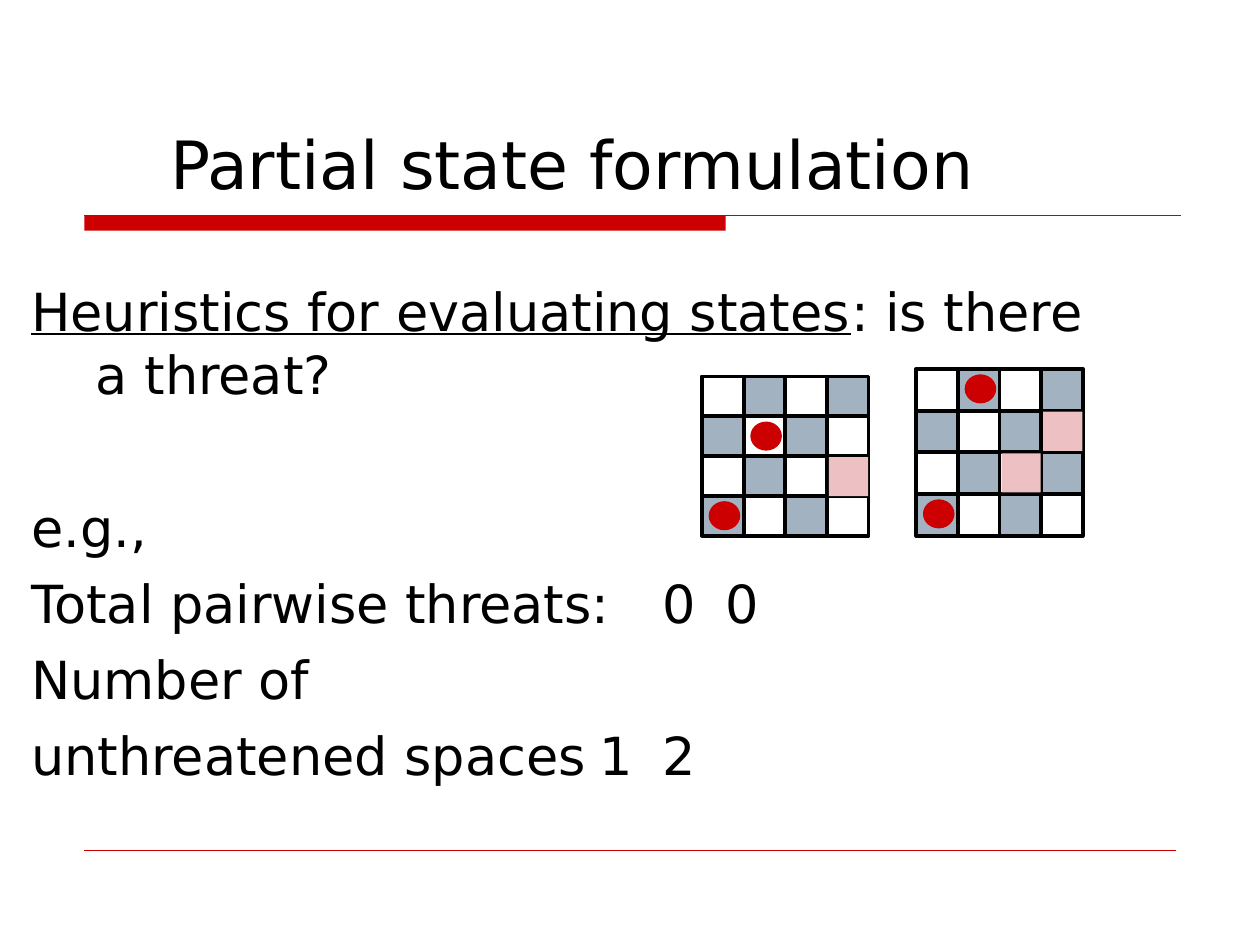
import pptx
import pptx.util
import pptx.dml.color
import pptx.enum.shapes
import pptx.enum.text
import lxml.etree

Cm, Pt = pptx.util.Cm, pptx.util.Pt
RGBColor = pptx.dml.color.RGBColor
SHAPE = pptx.enum.shapes.MSO_SHAPE
RED = RGBColor(0xCC, 0x00, 0x00)
PINK = RGBColor(0xED, 0xC1, 0xC4)
GREY = RGBColor(0xA3, 0xB2, 0xC1)
WHITE = RGBColor(0xFF, 0xFF, 0xFF)
BLACK = RGBColor(0x00, 0x00, 0x00)
FONT = "DejaVu Sans"


def mark(shapes, kind, box, fill, line=None, width=0.75):
    """Add a filled preset shape in a box given in centimetres."""
    shape = shapes.add_shape(kind, *map(Cm, box))
    shape.shadow.inherit = False
    shape.fill.solid()
    shape.fill.fore_color.rgb = fill
    if line is None:
        shape.line.fill.background()
    else:
        shape.line.color.rgb = line
        shape.line.width = Pt(width)


def rule(slide, left, top, width, weight):
    """Draw a level red line."""
    line = slide.shapes.add_connector(
        pptx.enum.shapes.MSO_CONNECTOR.STRAIGHT,
        Cm(left), Cm(top), Cm(left + width), Cm(top))
    line.line.color.rgb = RED
    line.line.width = Pt(weight)
    lxml.etree.SubElement(line._element.spPr, pptx.oxml.ns.qn("a:effectLst"))


def style(para, size):
    """Set the font of a paragraph."""
    para.font.name = FONT
    para.font.size = Pt(size)
    para.font.color.rgb = BLACK


def frame(slide, box):
    """Add a wrapping text box and return its frame."""
    text = slide.shapes.add_textbox(*map(Cm, box)).text_frame
    text.word_wrap = True
    return text


def title(slide, box, words):
    """Place the title at the bottom of its box."""
    text = frame(slide, box)
    text.vertical_anchor = pptx.enum.text.MSO_ANCHOR.BOTTOM
    para = text.paragraphs[0]
    para.text = words
    style(para, 38)


def body(slide, box, items):
    """Fill the body with rows of runs, space before and tab stops."""
    text = frame(slide, box)
    for i, (runs, space, stops) in enumerate(items):
        para = text.add_paragraph() if i else text.paragraphs[0]
        para.space_before = Pt(space)
        props = para._p.get_or_add_pPr()
        props.set("marL", str(Cm(1.3)))
        props.set("indent", str(Cm(-1.3)))
        if stops:
            tabs = lxml.etree.SubElement(props, pptx.oxml.ns.qn("a:tabLst"))
            for stop in stops:
                lxml.etree.SubElement(tabs, pptx.oxml.ns.qn("a:tab"),
                                      pos=str(Cm(stop)), algn="l")
        style(para, 30)
        for words, under in runs:
            run = para.add_run()
            run.text = words
            if under:
                run.font.underline = True


def board(slide, box, queens, spots):
    """Draw a 4 by 4 board with queens and free spots at (row, column)."""
    left, top, width, height = box
    wide, high = width / 4, height / 4
    cells = slide.shapes.add_group_shape().shapes
    for row in range(4):
        for col in range(4):
            mark(cells, SHAPE.RECTANGLE,
                 (left + col * wide, top + row * high, wide, high),
                 GREY if (row + col) % 2 else WHITE, BLACK, 2.25)
    for row, col in queens:
        mark(slide.shapes, SHAPE.OVAL,
             (left + col * wide + 0.15, top + row * high + 0.12, 0.61, 0.56),
             RED, RED)
    for row, col in spots:
        mark(slide.shapes, SHAPE.RECTANGLE,
             (left + col * wide + 0.04, top + row * high + 0.02, 0.79, 0.79),
             PINK)


def main():
    """Build and save the slide."""
    deck = pptx.Presentation()
    deck.slide_width, deck.slide_height = Cm(25.4), Cm(19.05)
    slide = deck.slides.add_slide(deck.slide_layouts[6])
    mark(slide.shapes, SHAPE.RECTANGLE, (1.7, 4.34, 12.93, 0.31), RED)
    rule(slide, 1.7, 4.34, 22.1, 0.75)
    rule(slide, 1.7, 17.15, 22, 0.25)
    body(slide, (0.38, 5.51, 22.25, 12.01), [
        ([("Heuristics for evaluating states", True),
          (": is there a threat?", False)], 7.5, ()),
        ([("e.g.,", False)], 51, ()),
        ([("Total pairwise threats:\t0\t0", False)], 7.5, (15.24, 18.8)),
        ([("Number of", False)], 7.5, ()),
        ([("unthreatened spaces\t1\t2", False)], 7.5, (12.7, 16.26)),
    ])
    title(slide, (3.18, 0.84, 18.34, 3.38), "Partial state formulation")
    board(slide, (14.15, 7.59, 3.36, 3.21), [(3, 0), (1, 1)], [(2, 3)])
    board(slide, (18.47, 7.44, 3.36, 3.36), [(3, 0), (0, 1)],
          [(2, 2), (1, 3)])
    deck.save("out.pptx")


if __name__ == "__main__":
    main()
